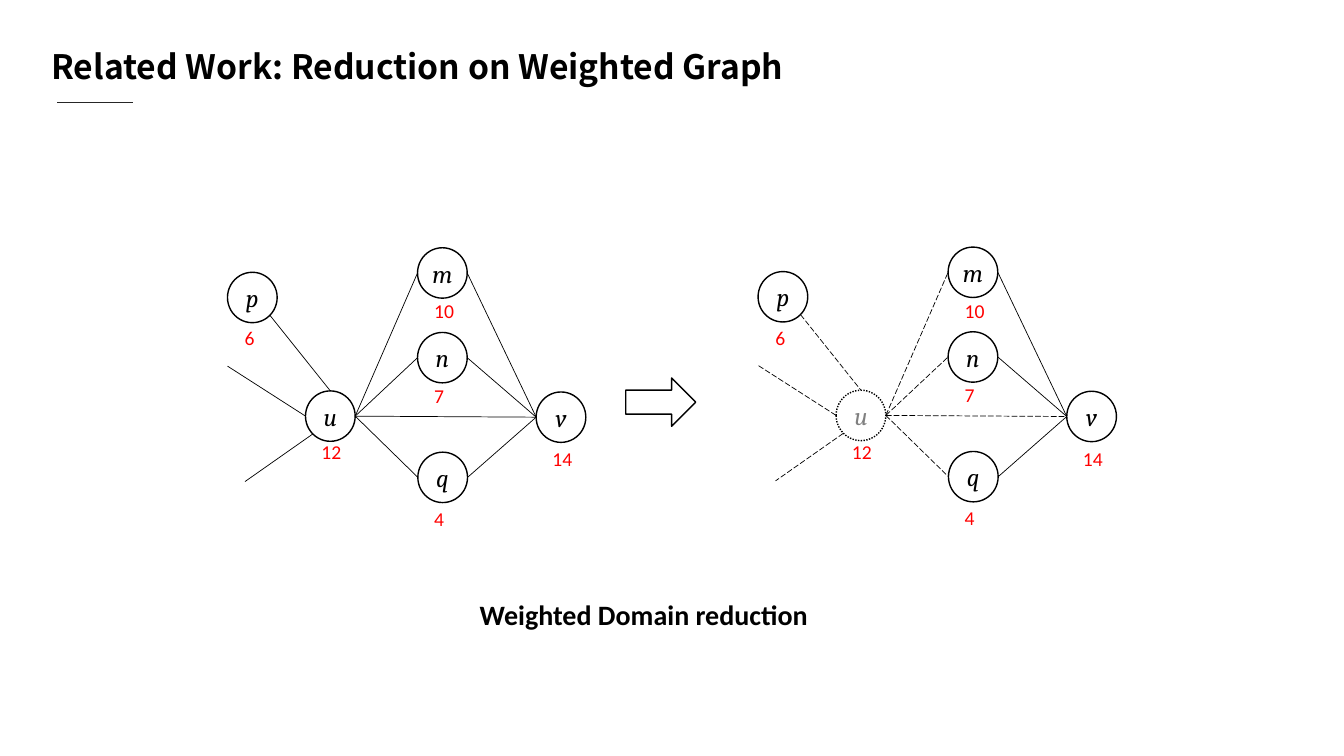
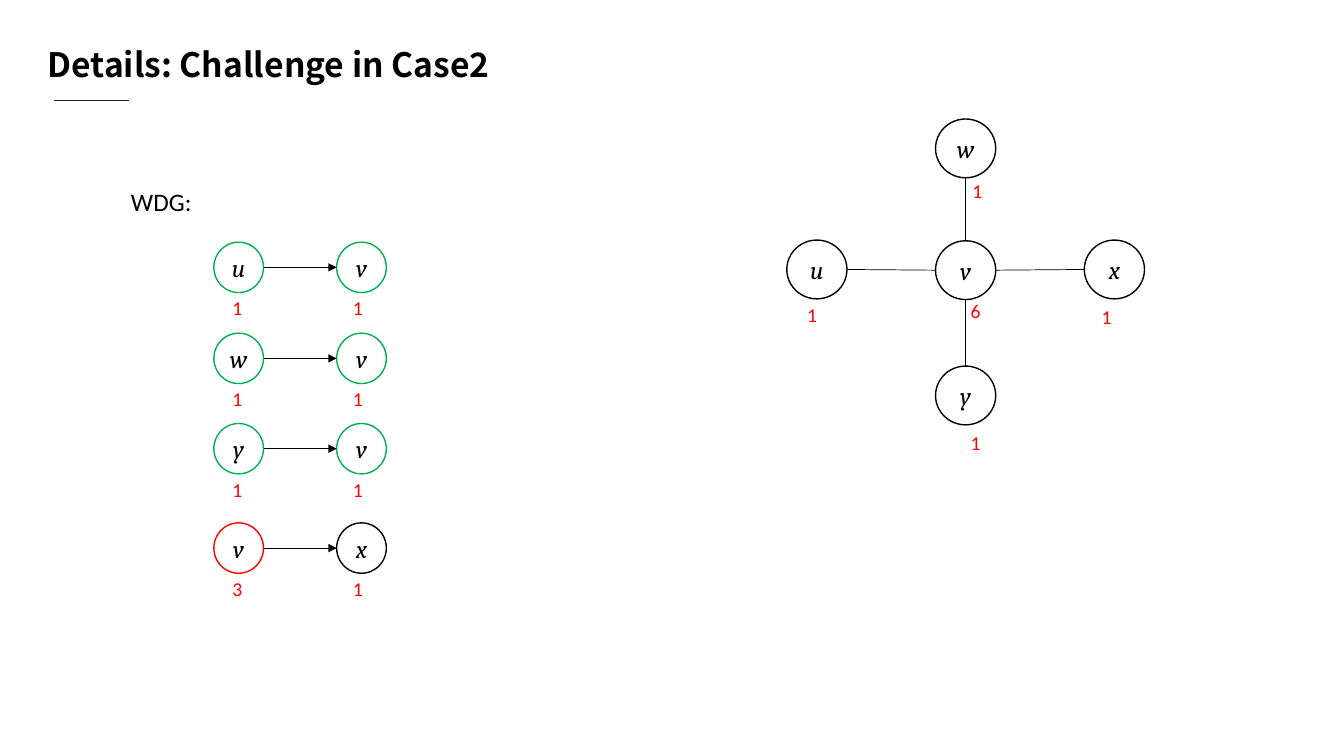
from dataclasses import dataclass

from lxml import etree
from pptx import Presentation
from pptx.dml.color import RGBColor
from pptx.enum.dml import MSO_LINE
from pptx.enum.shapes import MSO_CONNECTOR, MSO_SHAPE
from pptx.enum.text import MSO_ANCHOR, MSO_AUTO_SIZE, PP_ALIGN
from pptx.oxml.ns import qn
from pptx.util import Pt

DOTTED, DASHED = MSO_LINE.ROUND_DOT, MSO_LINE.LONG_DASH
ELLIPSE, RIGHT_ARROW = MSO_SHAPE.OVAL, MSO_SHAPE.RIGHT_ARROW
STRAIGHT = MSO_CONNECTOR.STRAIGHT
MIDDLE, CENTER = MSO_ANCHOR.MIDDLE, PP_ALIGN.CENTER
GROW = MSO_AUTO_SIZE.SHAPE_TO_FIT_TEXT

# Directions from the centre of a node to a point on its outline
LEFT, RIGHT, TOP, BOTTOM = (-1, 0), (1, 0), (0, -1), (0, 1)
LOWER_LEFT, LOWER_RIGHT = (-0.71, 0.71), (0.71, 0.71)

SMALL_NODE = (35.5, 36)
LARGE_NODE = (43, 42)


@dataclass(frozen=True)
class Theme:
    ink: RGBColor = RGBColor(0, 0, 0)
    paper: RGBColor = RGBColor(255, 255, 255)
    rule: RGBColor = RGBColor(0x26, 0x26, 0x26)
    faded: RGBColor = RGBColor(0x80, 0x80, 0x80)
    red: RGBColor = RGBColor(255, 0, 0)
    green: RGBColor = RGBColor(0, 0xB0, 0x50)
    title_font: str = "Noto Sans CJK SC"
    body_font: str = "Calibri"
    math_font: str = "Cambria"
    title_size: int = 24
    caption_size: int = 20
    body_size: int = 18
    weight_size: int = 14
    outline: float = 1
    edge: float = 0.5
    title_rule: float = 0.75


class GraphDeck:
    def __init__(self, theme):
        self.theme = theme
        self.deck = Presentation()
        self.deck.slide_width, self.deck.slide_height = Pt(960), Pt(540)
        self.page = None
        self.shapes = None

    def new_page(self, title, left, top):
        theme = self.theme
        self.page = self.deck.slides.add_slide(self.deck.slide_layouts[6])
        self.start_group()
        box = self.text(title, left, top, 602, 34.5, theme.title_size,
                        font=theme.title_font, bold=True)
        frame = box.text_frame
        frame.margin_left = frame.margin_right = Pt(5)
        frame.margin_top = frame.margin_bottom = Pt(3)
        rule_left, rule_top = left + 9.25, top + 43.5
        self.line((rule_left, rule_top), (rule_left + 54, rule_top),
                  color=theme.rule, width=theme.title_rule)
        self.end_group()

    def start_group(self):
        self.shapes = self.page.shapes.add_group_shape().shapes

    def end_group(self):
        self.shapes = self.page.shapes

    def style_text(self, para, size, color, font, bold=False, italic=False):
        for span in para.runs:
            span.font.name, span.font.size = font, Pt(size)
            span.font.bold, span.font.italic = bold, italic
            span.font.color.rgb = color

    def text(self, words, left, top, width, height, size, color=None,
             font=None, bold=False):
        box = self.shapes.add_textbox(Pt(left), Pt(top), Pt(width), Pt(height))
        frame = box.text_frame
        frame.text = words
        frame.word_wrap = True
        frame.auto_size = GROW
        self.style_text(frame.paragraphs[0], size, color or self.theme.ink,
                        font or self.theme.body_font, bold)
        return box

    def weight(self, value, left, top, width=31, height=24.5):
        self.text(value, left, top, width, height, self.theme.weight_size,
                  self.theme.red)

    def outlined(self, kind, left, top, width, height, color=None, dash=None):
        shape = self.shapes.add_shape(kind, Pt(left), Pt(top), Pt(width), Pt(height))
        shape.shadow.inherit = False
        shape.fill.solid()
        shape.fill.fore_color.rgb = self.theme.paper
        shape.line.color.rgb = color or self.theme.ink
        shape.line.width = Pt(self.theme.outline)
        shape.line.dash_style = dash
        return shape

    def node(self, name, left, top, size=SMALL_NODE, color=None, removed=False):
        theme = self.theme
        shape = self.outlined(ELLIPSE, left, top, *size, color,
                              DOTTED if removed else None)
        frame = shape.text_frame
        frame.text = name
        frame.word_wrap = False
        frame.vertical_anchor = MIDDLE
        frame.margin_left = frame.margin_right = 0
        para = frame.paragraphs[0]
        para.alignment = CENTER
        self.style_text(para, theme.body_size,
                        theme.faded if removed else theme.ink,
                        theme.math_font, italic=True)
        return shape

    def rim(self, node, direction):
        """Return the point, in points, where a direction meets the node outline."""
        across, down = direction
        return (node.left.pt + node.width.pt * (1 + across) / 2,
                node.top.pt + node.height.pt * (1 + down) / 2)

    def line(self, start, end, color=None, width=None, dash=None, arrow=False):
        line = self.shapes.add_connector(STRAIGHT, *map(Pt, start + end))
        line.line.color.rgb = color or self.theme.ink
        line.line.width = Pt(width or self.theme.edge)
        line.line.dash_style = dash
        properties = line.line._get_or_add_ln()
        if arrow:
            etree.SubElement(properties, qn("a:tailEnd"), type="triangle")
        etree.SubElement(properties.getparent(), qn("a:effectLst"))

    def edge(self, start, start_side, end, end_side, dash=None, arrow=False):
        self.line(self.rim(start, start_side), self.rim(end, end_side),
                  dash=dash, arrow=arrow)


# name, node offset, weight, weight offset; offsets from the graph's corner
DOMAIN_NODES = [
    ("p", (0, 17.5), "6", (5.25, 52.5)),
    ("q", (136, 146), "4", (140.5, 181.5)),
    ("m", (135.75, 0), "10", (140.5, 33.25)),
    ("u", (55.75, 102.25), "12", (60, 134)),
    ("n", (135.75, 60.5), "7", (140.5, 93.5)),
    ("v", (220.5, 103), "14", (225, 139)),
]
DOMAIN_EDGES = [
    ("u", RIGHT, "m", LEFT), ("u", RIGHT, "n", LEFT), ("u", RIGHT, "q", LEFT),
    ("m", RIGHT, "v", LEFT), ("n", RIGHT, "v", LEFT), ("q", RIGHT, "v", LEFT),
    ("u", RIGHT, "v", LEFT), ("p", LOWER_RIGHT, "u", TOP),
]
LOOSE_EDGES = [(LEFT, (0, 84.5)), (LOWER_LEFT, (12.5, 167))]


def domain_graph(graph, left, top, removed=None):
    """Draw the weighted graph; the removed node and its edges are broken lines."""
    graph.start_group()
    nodes = {}
    for name, (across, down), *_ in DOMAIN_NODES:
        nodes[name] = graph.node(name, left + across, top + down,
                                 removed=name == removed)
    for start, start_side, end, end_side in DOMAIN_EDGES:
        graph.edge(nodes[start], start_side, nodes[end], end_side,
                   dash=DASHED if removed in (start, end) else None)
    for side, (across, down) in LOOSE_EDGES:
        graph.line(graph.rim(nodes["u"], side), (left + across, top + down),
                   dash=DASHED if removed == "u" else None)
    for _, _, value, (across, down) in DOMAIN_NODES:
        graph.weight(value, left + across, top + down)
    graph.end_group()


# name, side of the hub, node offset from the hub, weight, weight offset from the node
STAR_NODES = [
    ("w", TOP, (0, -87), "1", (19.25, 39)),
    ("u", LEFT, (-106.25, -0.5), "1", (7.5, 41)),
    ("x", RIGHT, (106.25, -0.5), "1", (5.25, 42.5)),
    ("y", BOTTOM, (0, 89.5), "1", (18, 42.5)),
]


def star_graph(graph, left, top):
    graph.start_group()
    hub = graph.node("v", left, top, LARGE_NODE)
    graph.weight("6", left + 18, top + 38.25, 37.5, 28)
    for name, side, (across, down), value, (shift, drop) in STAR_NODES:
        node_left, node_top = left + across, top + down
        node = graph.node(name, node_left, node_top, LARGE_NODE)
        graph.edge(hub, side, node, (-side[0], -side[1]))
        graph.weight(value, node_left + shift, node_top + drop, 37.5, 28)
    graph.end_group()


def arrow_pair(graph, top, source, target, value, source_color, target_color):
    graph.start_group()
    start = graph.node(source, 152.75, top, color=source_color)
    end = graph.node(target, 240.5, top, color=target_color)
    graph.edge(start, RIGHT, end, LEFT, arrow=True)
    graph.weight(value, 159, top + 35)
    graph.weight("1", 245, top + 35)
    graph.end_group()


def reduction_page(graph):
    graph.new_page("Related Work: Reduction on Weighted Graph", 31.75, 29.5)
    domain_graph(graph, 162.5, 177)
    domain_graph(graph, 541.5, 176.5, removed="u")
    graph.outlined(RIGHT_ARROW, 447, 270, 50, 34.5)
    graph.text("Weighted Domain reduction", 335.5, 423.5, 280, 31.5,
               graph.theme.caption_size, bold=True)


def challenge_page(graph):
    theme = graph.theme
    graph.new_page("Details: Challenge in Case2", 29, 28)
    graph.text("WDG:", 86.5, 129.5, 133, 29, theme.body_size)
    star_graph(graph, 668.25, 172)
    for top, source, target, value, source_color, target_color in [
        (173, "u", "v", "1", theme.green, theme.green),
        (238, "w", "v", "1", theme.green, theme.green),
        (302.5, "y", "v", "1", theme.green, theme.green),
        (373.5, "v", "x", "3", theme.red, theme.ink),
    ]:
        arrow_pair(graph, top, source, target, value, source_color, target_color)


def main():
    graph = GraphDeck(Theme())
    reduction_page(graph)
    challenge_page(graph)
    graph.deck.save("out.pptx")


if __name__ == "__main__":
    main()
